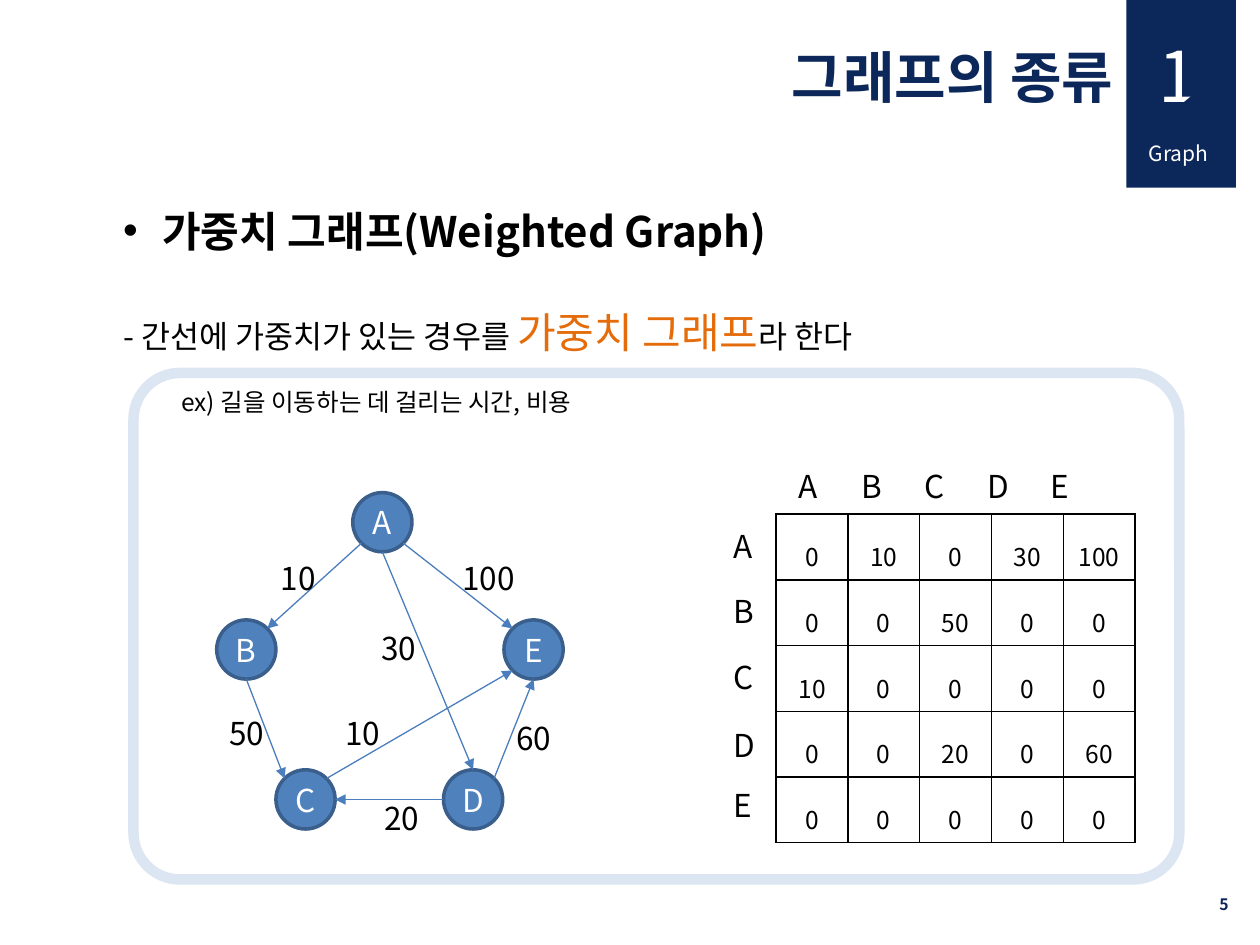
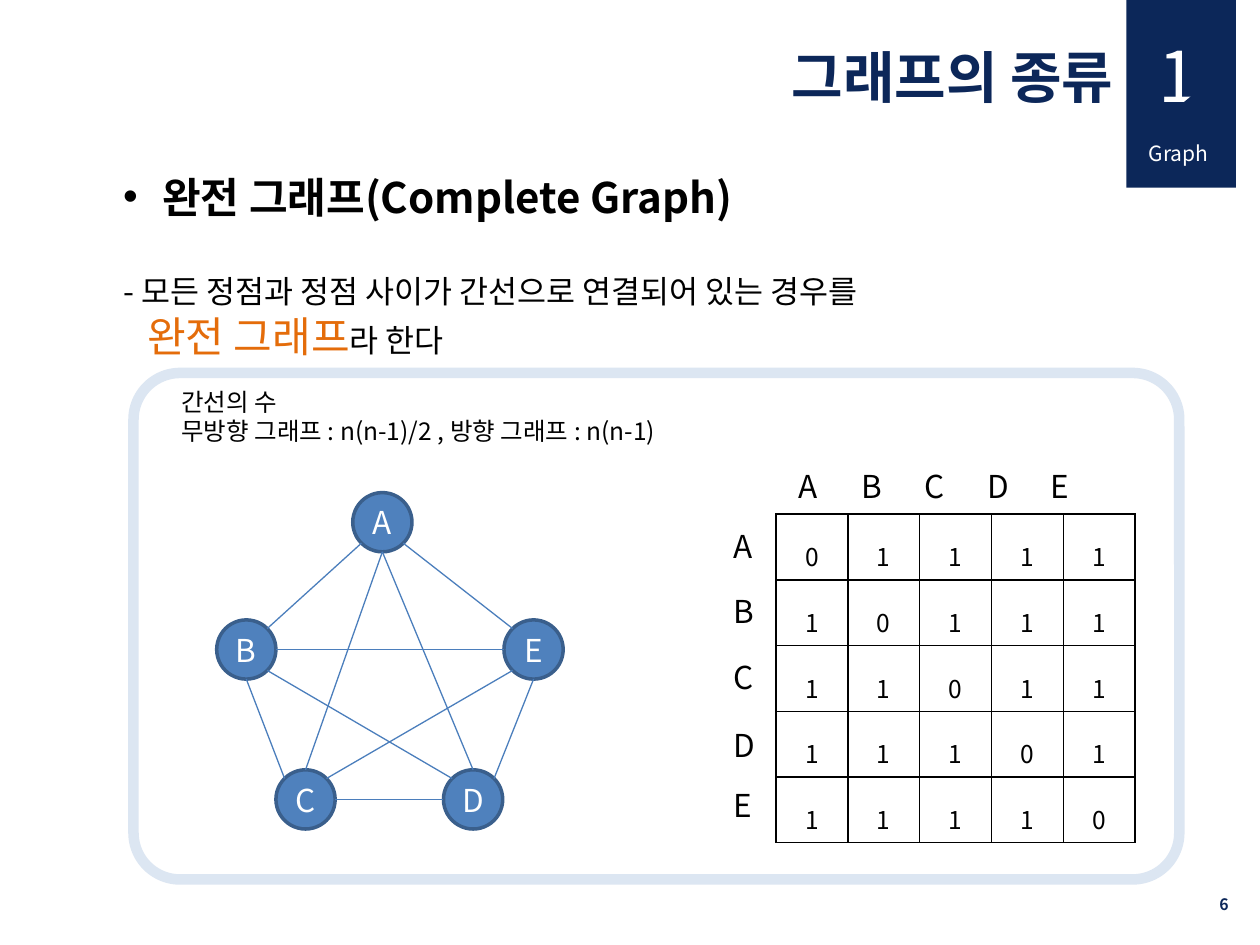
from math import cos, radians, sin

from lxml import etree
from pptx import Presentation
from pptx.dml.color import RGBColor
from pptx.enum.shapes import MSO_CONNECTOR, MSO_SHAPE
from pptx.enum.text import MSO_ANCHOR, MSO_AUTO_SIZE, PP_ALIGN
from pptx.oxml.ns import qn
from pptx.util import Inches, Pt

RECTANGLE, ROUNDED = MSO_SHAPE.RECTANGLE, MSO_SHAPE.ROUNDED_RECTANGLE
ELLIPSE, TRIANGLE = MSO_SHAPE.OVAL, MSO_SHAPE.ISOSCELES_TRIANGLE
STRAIGHT = MSO_CONNECTOR.STRAIGHT
TOP, MIDDLE = MSO_ANCHOR.TOP, MSO_ANCHOR.MIDDLE
LEFT, CENTER, RIGHT = PP_ALIGN.LEFT, PP_ALIGN.CENTER, PP_ALIGN.RIGHT
NO_AUTOFIT = MSO_AUTO_SIZE.NONE

FONT = "Noto Sans CJK KR"
NAVY, WHITE, BLACK, ORANGE = "0C2759", "FFFFFF", "000000", "E46C0A"
FRAME_LINE, NODE_FILL, NODE_LINE, EDGE_LINE = "DCE6F2", "4F81BD", "3A5F8C", "4B7EBC"

LETTERS = "ABCDE"
NODE_SIZE = 0.47
NODES = {"A": (2.8, 3.91), "B": (1.72, 4.92), "C": (2.19, 6.11),
         "D": (3.52, 6.11), "E": (4, 4.92)}
ANGLES = {"E": 0, "SE": 45, "S": 90, "SW": 135, "W": 180, "NW": 225, "N": 270, "NE": 315}
# From node and side, to node and side
EDGES = [("A", "SW", "B", "NE"), ("B", "S", "C", "NW"), ("A", "S", "D", "N"),
         ("D", "W", "C", "E"), ("A", "SE", "E", "NW"), ("C", "NE", "E", "SW"),
         ("D", "NE", "E", "S")]
DIAGONALS = [("A", "S", "C", "N"), ("E", "W", "B", "E"), ("D", "NW", "B", "SE")]
WEIGHT_LABELS = [("10", 2.13, 4.39), ("100", 3.57, 4.39), ("30", 2.93, 4.94),
                 ("60", 4, 5.66), ("10", 2.64, 5.62), ("20", 2.95, 6.29),
                 ("50", 1.72, 5.62)]
WEIGHTS = [[0, 10, 0, 30, 100], [0, 0, 50, 0, 0], [10, 0, 0, 0, 0],
           [0, 0, 20, 0, 60], [0, 0, 0, 0, 0]]
COMPLETE = [[int(row != column) for column in range(5)] for row in range(5)]

COLUMN_TABS = (0.42, 0.87, 1.31, 1.7)
ROW_LABEL_TOPS = (4.13, 4.65, 5.17, 5.71, 6.19)


def rgb(color):
    return RGBColor.from_string(color)


def style_font(font, size, color, bold=False):
    font.name, font.size, font.bold = FONT, Pt(size), bold
    font.color.rgb = rgb(color)


def set_east_asian_font(paragraph):
    """Give Korean glyphs the same typeface as Latin ones."""
    for properties in paragraph._p.iter(qn("a:defRPr"), qn("a:rPr")):
        if properties.find(qn("a:latin")) is not None:
            etree.SubElement(properties, qn("a:ea"), typeface=FONT)


def style_paragraph(paragraph, size, color, bold=False, align=LEFT):
    paragraph.alignment = align
    style_font(paragraph.font, size, color, bold)
    set_east_asian_font(paragraph)


def indent(paragraph, margin, first_line=0.0):
    properties = paragraph._p.get_or_add_pPr()
    properties.set("marL", str(Inches(margin)))
    properties.set("indent", str(Inches(first_line)))
    return properties


class Deck:
    def __init__(self):
        self.presentation = Presentation()
        self.presentation.slide_width = Inches(10)
        self.presentation.slide_height = Inches(7.5)
        self.slide = None

    def start_slide(self, title, number):
        """Add a slide with its title, chapter band, page number and frame."""
        self.slide = self.presentation.slides.add_slide(self.presentation.slide_layouts[5])
        placeholder = self.slide.shapes.title
        placeholder.left, placeholder.top = Inches(5.79), Inches(0.29)
        placeholder.width, placeholder.height = Inches(3.15), Inches(0.64)
        frame = placeholder.text_frame
        frame.text = title
        frame.auto_size, frame.vertical_anchor = NO_AUTOFIT, TOP
        style_paragraph(frame.paragraphs[0], 32, NAVY, True, RIGHT)

        self.shape(RECTANGLE, 8.94, 0, 0.87, 1.49, NAVY)
        self.text(["Graph"], 9.02, 1.07, 0.79, 0.3, 12, WHITE)
        self.text(["1"], 9.1, 0.21, 0.63, 0.77, 40, WHITE)
        self.shape(TRIANGLE, 9.18, 0.6, 0.47, 0.39, NAVY, adjustment=1)
        self.text([str(number)], 7.52, 6.98, 2.33, 0.4, 9, NAVY, True, RIGHT, MIDDLE)
        self.shape(ROUNDED, 1.06, 2.96, 8.3, 4.02, line=(FRAME_LINE, 6), adjustment=0.092)

    def shape(self, kind, left, top, width, height, fill=None, line=None, adjustment=None):
        shape = self.slide.shapes.add_shape(
            kind, Inches(left), Inches(top), Inches(width), Inches(height))
        shape.shadow.inherit = False
        if adjustment is not None:
            shape.adjustments[0] = adjustment
        if fill:
            shape.fill.solid()
            shape.fill.fore_color.rgb = rgb(fill)
        else:
            shape.fill.background()
        if line:
            shape.line.color.rgb = rgb(line[0])
            shape.line.width = Pt(line[1])
        else:
            shape.line.fill.background()
        return shape

    def text_frame(self, left, top, width, height, anchor=TOP):
        box = self.slide.shapes.add_textbox(
            Inches(left), Inches(top), Inches(width), Inches(height))
        box.text_frame.word_wrap = True
        box.text_frame.vertical_anchor = anchor
        return box.text_frame

    def text(self, lines, left, top, width, height, size=18, color=BLACK,
             bold=False, align=LEFT, anchor=TOP):
        frame = self.text_frame(left, top, width, height, anchor)
        frame.text = "\n".join(lines)
        for paragraph in frame.paragraphs:
            style_paragraph(paragraph, size, color, bold, align)
        return frame

    def definition(self, top, height, heading, lines):
        """Write a bulleted heading, then lines of (text, size, colour) runs."""
        frame = self.text_frame(0.88, top, 7.96, height)
        paragraph = frame.paragraphs[0]
        paragraph.text = heading
        paragraph.space_after = Pt(29)
        style_paragraph(paragraph, 24, BLACK, True)
        properties = indent(paragraph, 0.31, -0.31)
        bullet_font = etree.Element(qn("a:buFont"), typeface="Arial")
        bullet = etree.Element(qn("a:buChar"), char="•")
        defaults = properties.find(qn("a:defRPr"))
        defaults.addprevious(bullet_font)
        defaults.addprevious(bullet)
        for margin, runs in lines:
            paragraph = frame.add_paragraph()
            indent(paragraph, margin)
            for text, size, color in runs:
                run = paragraph.add_run()
                run.text = text
                style_font(run.font, size, color)
            set_east_asian_font(paragraph)

    def node(self, letter):
        left, top = NODES[letter]
        shape = self.shape(ELLIPSE, left, top, NODE_SIZE, NODE_SIZE, NODE_FILL, (NODE_LINE, 2))
        frame = shape.text_frame
        frame.margin_left = frame.margin_right = frame.margin_top = frame.margin_bottom = 0
        frame.vertical_anchor = MIDDLE
        frame.text = letter
        style_paragraph(frame.paragraphs[0], 18, WHITE, align=CENTER)

    def edge_point(self, letter, side):
        radius, angle = NODE_SIZE / 2, radians(ANGLES[side])
        left, top = NODES[letter]
        return (Inches(left + radius + radius * cos(angle)),
                Inches(top + radius + radius * sin(angle)))

    def edge(self, start, start_side, end, end_side, arrow):
        connector = self.slide.shapes.add_connector(
            STRAIGHT, *self.edge_point(start, start_side), *self.edge_point(end, end_side))
        connector.line.color.rgb = rgb(EDGE_LINE)
        connector.line.width = Pt(0.75)
        if arrow:
            etree.SubElement(connector.line._get_or_add_ln(), qn("a:tailEnd"), type="triangle")
        etree.SubElement(connector._element.spPr, qn("a:effectLst"))

    def graph(self, edges, arrows):
        for letter in NODES:
            self.node(letter)
        for edge in edges:
            self.edge(*edge, arrows)

    def matrix(self, values):
        """Draw the adjacency table with its row and column letters."""
        header = self.text(["\t".join(LETTERS)], 6.18, 3.66, 2.76, 0.4)
        properties = indent(header.paragraphs[0], 0.06)
        tabs = etree.Element(qn("a:tabLst"))
        for position in COLUMN_TABS:
            etree.SubElement(tabs, qn("a:tab"), pos=str(Inches(position)), algn="l")
        properties.find(qn("a:defRPr")).addprevious(tabs)
        for letter, top in zip(LETTERS, ROW_LABEL_TOPS):
            self.text([letter], 5.72, top, 0.42, 0.4)

        table = self.slide.shapes.add_table(
            5, 5, Inches(6.16), Inches(4.08), Inches(2.85), Inches(2.61)).table
        table.first_row = table.horz_banding = False
        for row, numbers in enumerate(values):
            for column, number in enumerate(numbers):
                self.cell(table.cell(row, column), str(number))

    def cell(self, cell, text):
        cell.text = text
        paragraph = cell.text_frame.paragraphs[0]
        paragraph.line_spacing = 1.5
        style_paragraph(paragraph, 14, BLACK, align=CENTER)
        properties = cell._tc.get_or_add_tcPr()
        for side in ("lnL", "lnR", "lnT", "lnB"):
            border = etree.SubElement(properties, qn("a:" + side), w=str(Pt(1)))
            fill = etree.SubElement(border, qn("a:solidFill"))
            etree.SubElement(fill, qn("a:srgbClr"), val=BLACK)
        cell.fill.solid()
        cell.fill.fore_color.rgb = rgb(WHITE)


def weighted_graph(deck):
    deck.start_slide("그래프의 종류", 5)
    deck.definition(1.58, 1.31, "가중치 그래프(Weighted Graph)", [
        (0, [("- 간선에 가중치가 있는 경우를 ", 18, BLACK),
             ("가중치 그래프", 24, ORANGE), ("라 한다", 18, BLACK)])])
    deck.text(["ex) 길을 이동하는 데 걸리는 시간, 비용"], 1.34, 3.02, 5, 0.34, 14)
    deck.graph(EDGES, arrows=True)
    for weight, left, top in WEIGHT_LABELS:
        deck.text([weight], left, top, 0.77, 0.4)
    deck.matrix(WEIGHTS)


def complete_graph(deck):
    deck.start_slide("그래프의 종류", 6)
    deck.definition(1.31, 1.62, "완전 그래프(Complete Graph)", [
        (0, [("- 모든 정점과 정점 사이가 간선으로 연결되어 있는 경우를", 18, BLACK)]),
        (0.19, [("완전 그래프", 24, ORANGE), ("라 한다", 18, BLACK)])])
    deck.text(["간선의 수", "무방향 그래프 : n(n-1)/2 , 방향 그래프 : n(n-1)"],
              1.34, 3.02, 5, 0.57, 14)
    deck.graph(EDGES + DIAGONALS, arrows=False)
    deck.matrix(COMPLETE)


def main():
    deck = Deck()
    weighted_graph(deck)
    complete_graph(deck)
    deck.presentation.save("out.pptx")


if __name__ == "__main__":
    main()
